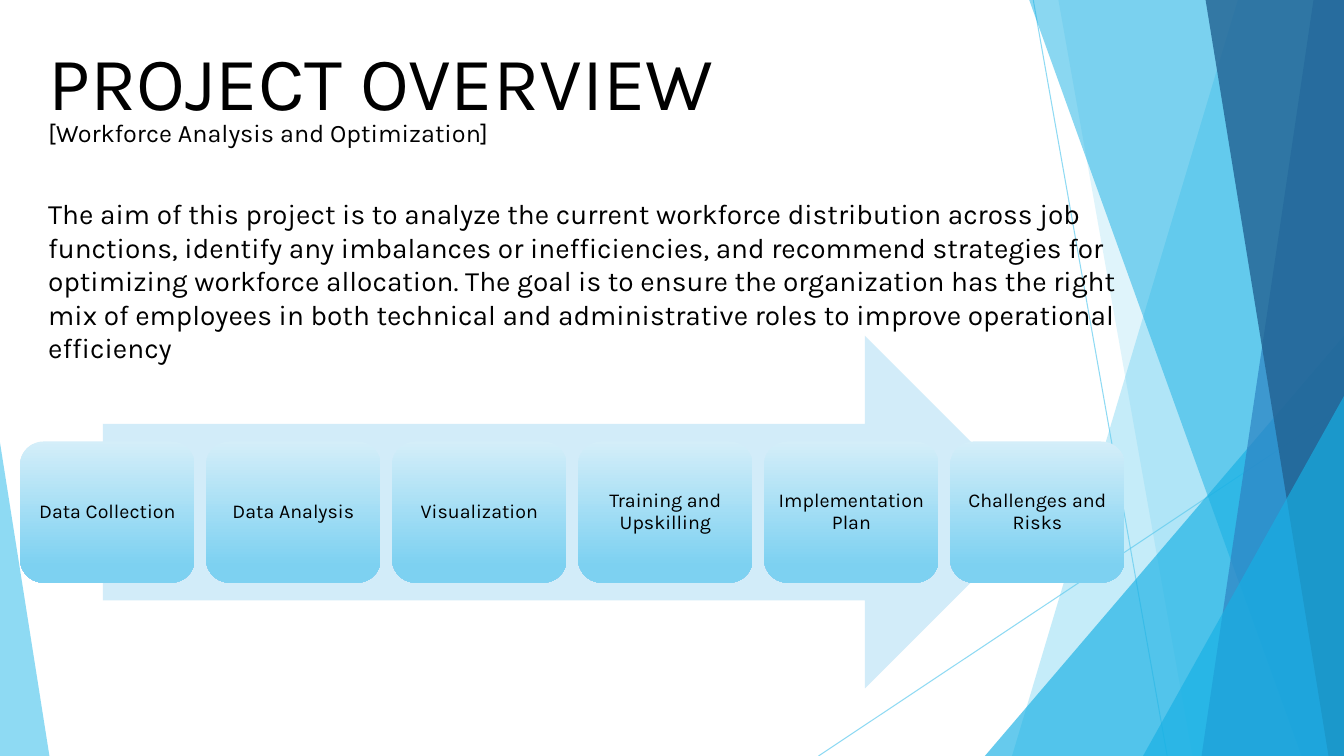
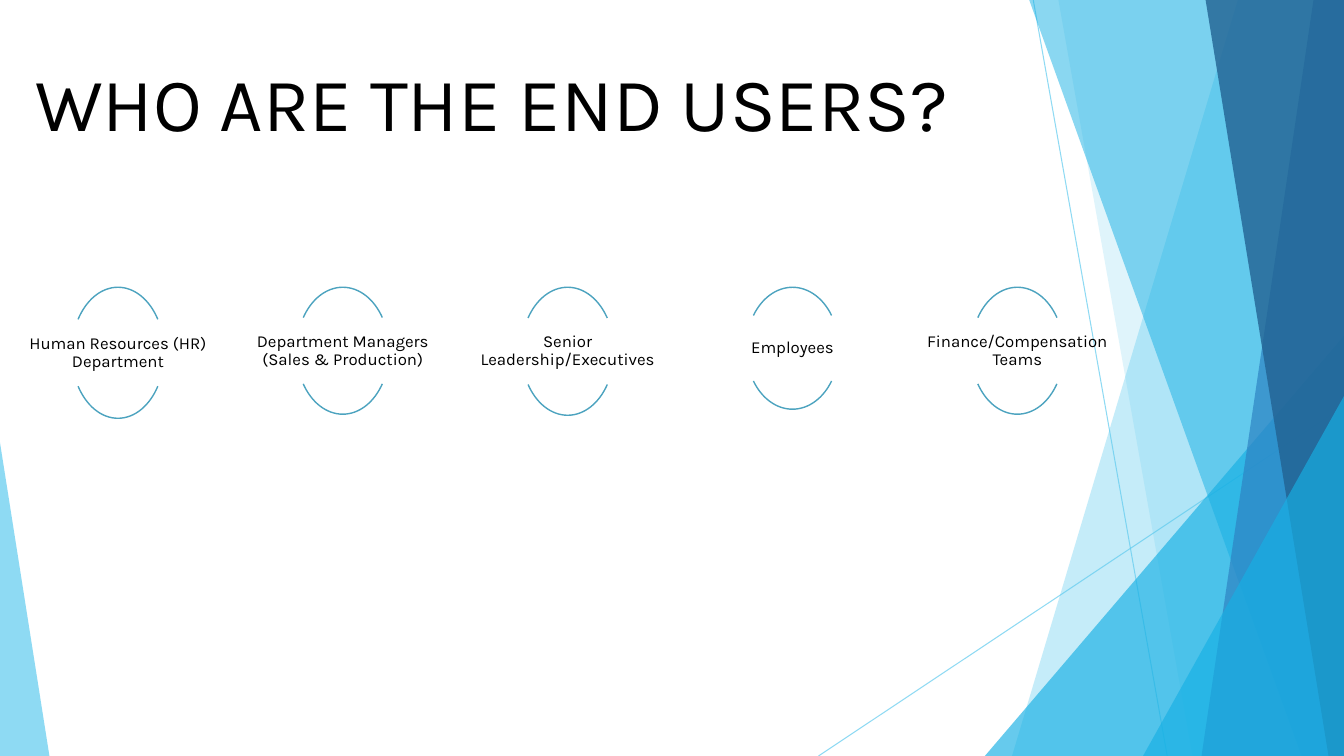
"""Build the project overview and end user slides."""
from dataclasses import dataclass
from typing import Union

from lxml.etree import SubElement
from pptx import Presentation
from pptx.dml.color import RGBColor
from pptx.enum.shapes import MSO_CONNECTOR, MSO_SHAPE
from pptx.enum.text import MSO_ANCHOR, PP_ALIGN
from pptx.oxml.ns import qn
from pptx.shapes.autoshape import Shape
from pptx.shapes.base import BaseShape
from pptx.slide import Slide, SlideLayout
from pptx.util import Emu, Inches, Pt

WIDE, HIGH = Inches(13.33), Inches(7.5)
FONT = "Karla"
HUES = {
    "ink": "000000", "sky": "5FCBEF", "aqua": "17B0E4", "blue": "2E83C3",
    "navy": "226292", "arrow": "D2ECF9", "pale": "D4EEF9", "deep": "7DD1F1",
    "arc": "4CA3BF",
}


@dataclass(frozen=True)
class Box:
    """An area in percent of the slide's size."""
    left: float
    top: float
    wide: float
    high: float

    def emu(self) -> tuple[Emu, Emu, Emu, Emu]:
        """Return left, top, width and height as lengths."""
        return across(self.left), down(self.top), across(self.wide), down(self.high)

    def inner(self, wide: float, high: float) -> "Box":
        """Return a centred box with these shares of the size."""
        return Box(self.left + self.wide * (1 - wide) / 2,
                   self.top + self.high * (1 - high) / 2,
                   self.wide * wide, self.high * high)


@dataclass(frozen=True)
class Ray:
    """A thin line across the slide."""
    left: float
    top: float
    right: float
    foot: float


@dataclass(frozen=True)
class Panel:
    """A full height panel with a slanted left side."""
    top: float
    foot: float
    hue: str
    alpha: int


@dataclass(frozen=True)
class Wedge:
    """A right triangle that stands on the foot of the slide."""
    left: float
    top: float
    wide: float
    peak: int
    hue: str
    alpha: int


@dataclass(frozen=True)
class User:
    """A user group and the height of its ring."""
    name: str
    high: float


DECOR: list[Union[Ray, Panel, Wedge]] = [
    Ray(76.88, 0, 86.85, 100),
    Ray(100, 53.73, 60.9, 100),
    Panel(92.1, 75.3, "sky", 36),
    Panel(78.75, 88.73, "sky", 20),
    Wedge(73.28, 44.4, 26.72, 1, "aqua", 66),
    Panel(76.58, 96.83, "aqua", 50),
    Panel(97.73, 89.4, "blue", 70),
    Panel(89.7, 98.85, "navy", 80),
    Wedge(85.05, 52.4, 14.95, 1, "aqua", 66),
    Wedge(0, 58.53, 3.68, 0, "sky", 70),
]
STEPS = ["Data Collection", "Data Analysis", "Visualization",
         "Training and Upskilling", "Implementation Plan", "Challenges and Risks"]
USERS = [
    User("Human Resources (HR) Department", 17.33),
    User("Department Managers (Sales & Production)", 16.8),
    User("Senior Leadership/Executives", 16.93),
    User("Employees", 16.13),
    User("Finance/Compensation Teams", 16.8),
]
AIM = ("The aim of this project is to analyze the current workforce distribution "
       "across job functions, identify any imbalances or inefficiencies, and "
       "recommend strategies for optimizing workforce allocation. The goal is to "
       "ensure the organization has the right mix of employees in both technical "
       "and administrative roles to improve operational efficiency")


def across(part: float) -> Emu:
    """Turn a percentage of the slide's width into a length."""
    return Emu(round(WIDE * part / 100))


def down(part: float) -> Emu:
    """Turn a percentage of the slide's height into a length."""
    return Emu(round(HIGH * part / 100))


def tint(hue: str) -> RGBColor:
    """Look up a colour by name."""
    return RGBColor.from_string(HUES[hue])


def fade(shape: BaseShape, alpha: int) -> None:
    """Give the colours of a shape an opacity in percent."""
    for node in shape.element.spPr.iter(qn("a:srgbClr")):
        SubElement(node, qn("a:alpha")).set("val", str(alpha * 1000))


def paint(shape: Shape, hue: str, alpha: int = 100) -> None:
    """Fill a shape flat, with no line or shadow."""
    shape.shadow.inherit = False
    shape.fill.solid()
    shape.fill.fore_color.rgb = tint(hue)
    shape.line.fill.background()
    if alpha < 100:
        fade(shape, alpha)


def ray(slide: Slide, item: Ray) -> None:
    """Draw a thin line."""
    line = slide.shapes.add_connector(
        MSO_CONNECTOR.STRAIGHT, across(item.left), down(item.top),
        across(item.right), down(item.foot))
    line.line.color.rgb = tint("sky")
    line.line.width = Pt(0.75)
    fade(line, 70)
    SubElement(line.element.spPr, qn("a:effectLst"))


def panel(slide: Slide, item: Panel) -> None:
    """Draw a slanted panel."""
    form = slide.shapes.build_freeform(across(item.top), 0)
    form.add_line_segments([(WIDE, 0), (WIDE, HIGH), (across(item.foot), HIGH)])
    paint(form.convert_to_shape(), item.hue, item.alpha)


def wedge(slide: Slide, item: Wedge) -> None:
    """Draw a corner triangle."""
    box = Box(item.left, item.top, item.wide, 100 - item.top)
    shape = slide.shapes.add_shape(MSO_SHAPE.ISOSCELES_TRIANGLE, *box.emu())
    shape.adjustments[0] = item.peak
    paint(shape, item.hue, item.alpha)


def decor(slide: Slide, base: SlideLayout) -> None:
    """Draw the shared background and move it to the layout."""
    for hold in list(base.placeholders):
        base.shapes.element.remove(hold.element)
    draw = {Ray: ray, Panel: panel, Wedge: wedge}
    for item in DECOR:
        draw[type(item)](slide, item)
    for shape in list(slide.shapes):
        base.shapes.element.append(shape.element)


def style(shape: Shape, text: str, size: int) -> None:
    """Set the text of a shape in the shared font."""
    frame = shape.text_frame
    frame.word_wrap = True
    frame.text = text
    font = frame.paragraphs[0].runs[0].font
    font.name, font.size = FONT, Pt(size)
    font.color.rgb = tint("ink")


def centre(shape: Shape, inset: float) -> None:
    """Centre the text of a shape within an even margin."""
    frame = shape.text_frame
    frame.vertical_anchor = MSO_ANCHOR.MIDDLE
    frame.margin_left = frame.margin_right = Inches(inset)
    frame.margin_top = frame.margin_bottom = Inches(inset)
    frame.paragraphs[0].alignment = PP_ALIGN.CENTER
    frame.paragraphs[0].line_spacing = 0.9


def write(slide: Slide, box: Box, text: str, size: int) -> Shape:
    """Add a text box."""
    shape = slide.shapes.add_textbox(*box.emu())
    style(shape, text, size)
    return shape


def title(slide: Slide, left: float, top: float, wide: float, text: str) -> None:
    """Add a slide title."""
    write(slide, Box(left, top, wide, 13.47), text, 54)


def step(slide: Slide, box: Box, text: str) -> None:
    """Add a rounded card with a gradient."""
    card = slide.shapes.add_shape(MSO_SHAPE.ROUNDED_RECTANGLE, *box.emu())
    paint(card, "pale")
    card.fill.gradient()
    card.fill.gradient_angle = 270
    for stop, hue, spot in zip(card.fill.gradient_stops, ("pale", "deep"), (0, 0.88)):
        stop.color.rgb = tint(hue)
        stop.position = spot
    style(card, text, 14)
    centre(card, 0.06)


def ring(slide: Slide, box: Box, text: str) -> None:
    """Add a label between an upper and a lower arc."""
    for start, end in ((132, 192), (24, 84)):
        arc = slide.shapes.add_shape(MSO_SHAPE.ARC, *box.inner(0.5, 1).emu())
        arc.adjustments[0], arc.adjustments[1] = start, end
        arc.shadow.inherit = False
        arc.fill.background()
        arc.line.color.rgb = tint("arc")
        arc.line.width = Pt(1)
    centre(write(slide, box.inner(1, 0.64), text, 12), 0.01)


def outline(slide: Slide) -> None:
    """Fill the project overview slide."""
    title(slide, 2.85, 4, 58.58, "PROJECT OVERVIEW")
    write(slide, Box(2.85, 14.8, 64.05, 5.33),
          "[Workforce Analysis and Optimization]", 18)
    arrow = slide.shapes.add_shape(
        MSO_SHAPE.RIGHT_ARROW, *Box(7.65, 44.4, 69.83, 46.67).emu())
    paint(arrow, "arrow")
    for col, text in enumerate(STEPS):
        step(slide, Box(1.5 + 13.84 * col, 58.4, 12.98, 18.67), text)
    write(slide, Box(2.85, 25.33, 82.2, 23.73), AIM, 20)


def people(slide: Slide) -> None:
    """Fill the end user slide."""
    title(slide, 1.88, 6.8, 72.75, "WHO ARE THE END USERS?")
    for col, user in enumerate(USERS):
        ring(slide, Box(1.88 + 16.73 * col, 38, 13.8, user.high), user.name)


def main() -> None:
    """Build and save the deck."""
    deck = Presentation()
    deck.slide_width, deck.slide_height = WIDE, HIGH
    base = deck.slide_layouts[6]
    first, last = (deck.slides.add_slide(base) for _ in range(2))
    decor(first, base)
    outline(first)
    people(last)
    deck.save("out.pptx")


if __name__ == "__main__":
    main()
